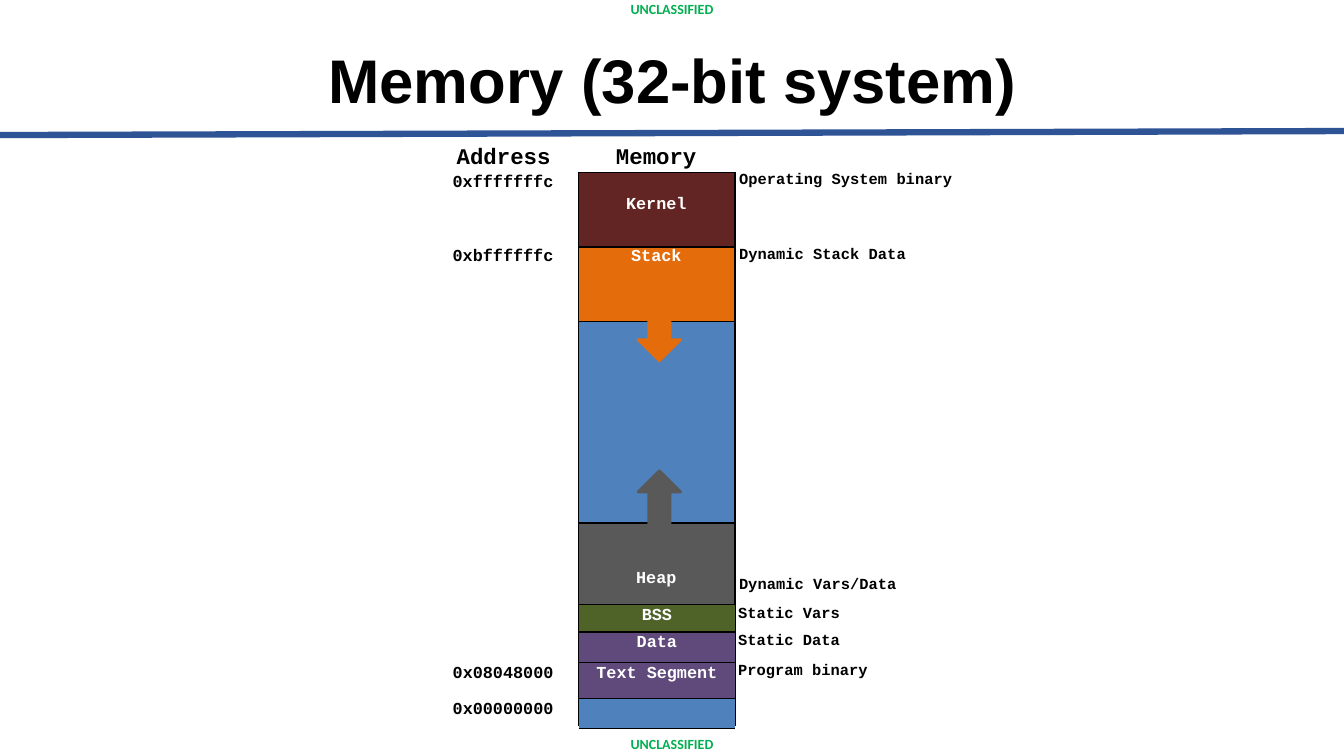
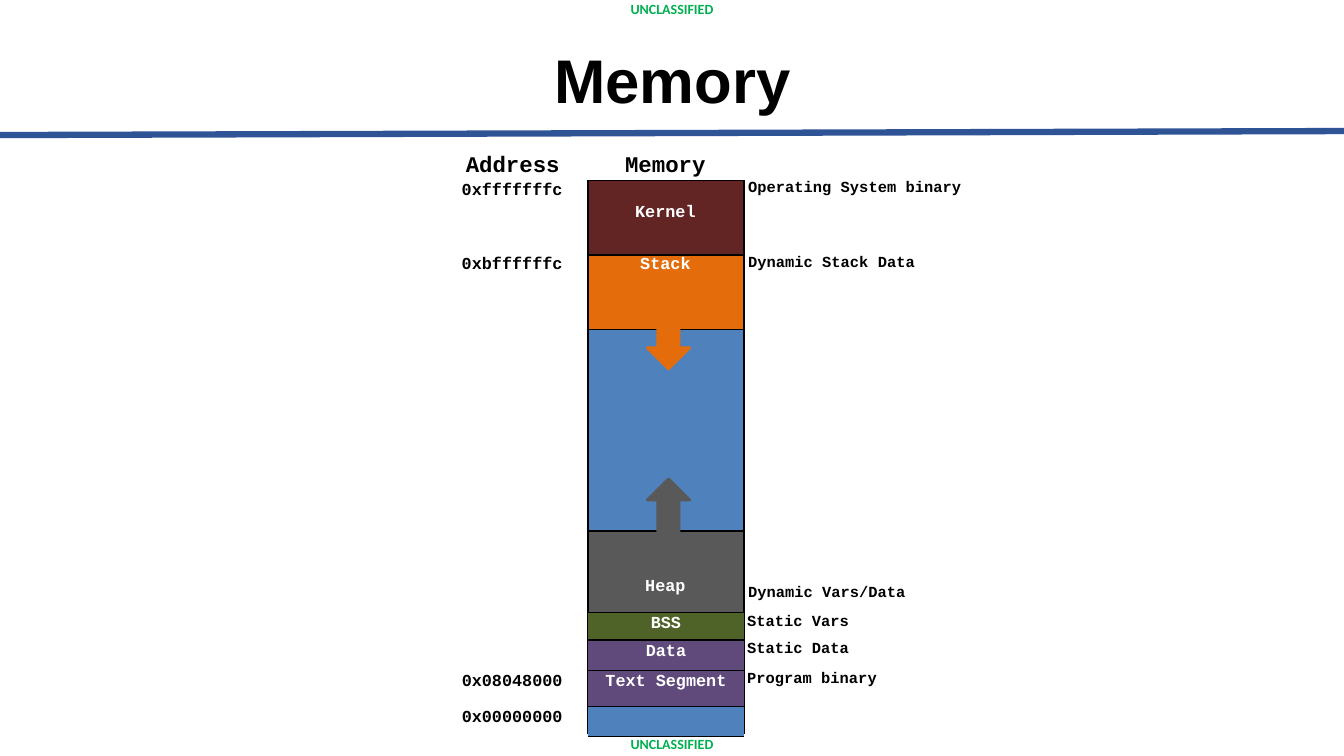
import itertools
from typing import NamedTuple, Optional

import lxml.etree
import pptx
import pptx.dml.color
import pptx.enum.shapes
import pptx.enum.text
import pptx.oxml.ns
import pptx.presentation
import pptx.shapes.autoshape
import pptx.shapes.connector
import pptx.slide
import pptx.table
import pptx.text.text
import pptx.util

Inches = pptx.util.Inches
Pt = pptx.util.Pt
RGBColor = pptx.dml.color.RGBColor
Align = pptx.enum.text.PP_ALIGN
Anchor = pptx.enum.text.MSO_ANCHOR
AutoSize = pptx.enum.text.MSO_AUTO_SIZE
Preset = pptx.enum.shapes.MSO_SHAPE
qn = pptx.oxml.ns.qn

BLACK = RGBColor(0x00, 0x00, 0x00)
WHITE = RGBColor(0xFF, 0xFF, 0xFF)
RULE_BLUE = RGBColor(0x2F, 0x54, 0x96)
MARKING_GREEN = RGBColor(0x00, 0xB0, 0x50)
KERNEL_RED = RGBColor(0x63, 0x25, 0x23)
STACK_ORANGE = RGBColor(0xE4, 0x6C, 0x0A)
FREE_BLUE = RGBColor(0x4F, 0x81, 0xBD)
HEAP_GRAY = RGBColor(0x59, 0x59, 0x59)
BSS_GREEN = RGBColor(0x4F, 0x62, 0x28)
BINARY_PURPLE = RGBColor(0x60, 0x4A, 0x7B)

SLIDE_WIDTH, SLIDE_HEIGHT = 13.33, 7.5
MEMORY_WIDTH = 1.55
MEMORY_HEIGHT = 5.49
ADDRESS_X = -1.26
NOTE_X = 1.58
TABLE_X, TABLE_Y = -1.28, 4.29
COLUMN_WIDTHS = (1.28, MEMORY_WIDTH, 1.35)
NO_TABLE_STYLE = "{2D5ABB26-0587-4C30-8999-92F81FD0307C}"


class Origin(NamedTuple):
    x: float
    y: float


class Region(NamedTuple):
    height: float
    color: RGBColor


class Label(NamedTuple):
    text: str
    y: float
    x: Optional[float] = None
    size: int = 12
    color: RGBColor = BLACK


class Growth(NamedTuple):
    preset: Preset
    y: float
    color: RGBColor


class Section(NamedTuple):
    height: float
    address: str
    name: str
    note: str
    color: RGBColor


REGIONS = (
    Region(0.74, KERNEL_RED),
    Region(0.74, STACK_ORANGE),
    Region(2.0, FREE_BLUE),
    Region(0.81, HEAP_GRAY),
)
LABELS = (
    Label("Memory", -0.31, size=16),
    Label("Kernel", 0.19, color=WHITE),
    Label("Operating System binary", -0.04, NOTE_X, 11),
    Label("0xbffffffc", 0.71, ADDRESS_X),
    Label("Stack", 0.71, color=WHITE),
    Label("Dynamic Stack Data", 0.7, NOTE_X, 11),
    Label("Heap", 3.9, color=WHITE),
    Label("Dynamic Vars/Data", 3.98, NOTE_X, 11),
)
GROWTHS = (
    Growth(Preset.DOWN_ARROW, 1.29, STACK_ORANGE),
    Growth(Preset.UP_ARROW, 2.96, HEAP_GRAY),
)
SECTIONS = (
    Section(0.27, "", "BSS", "Static Vars", BSS_GREEN),
    Section(0.3, "", "Data", "Static Data", BINARY_PURPLE),
    Section(0.36, "0x08048000", "Text Segment", "Program binary", BINARY_PURPLE),
    Section(0.3, "0x00000000", "", "", FREE_BLUE),
)


def write_text(
    frame: pptx.text.text.TextFrame,
    text: str,
    *,
    size: int = 12,
    color: RGBColor = BLACK,
    font: str = "Courier New",
    align: Align = Align.LEFT,
    indent: float = 0,
    spacing: float = 1.0,
    before: float = 0,
) -> None:
    paragraph = frame.add_paragraph() if frame.text else frame.paragraphs[0]
    paragraph.alignment = align
    paragraph.line_spacing = spacing
    paragraph.space_before = Pt(before)
    properties = paragraph._p.get_or_add_pPr()
    properties.set("marL", str(Inches(indent)))
    properties.set("indent", "0")
    run = paragraph.add_run()
    run.text = text
    run.font.name = font
    run.font.size = Pt(size)
    run.font.bold = True
    run.font.color.rgb = color


def add_line(
    slide: pptx.slide.Slide,
    start: Origin,
    end: Origin,
    color: RGBColor = BLACK,
    width: float = 1,
) -> pptx.shapes.connector.Connector:
    line = slide.shapes.add_connector(
        pptx.enum.shapes.MSO_CONNECTOR.STRAIGHT,
        Inches(start.x), Inches(start.y), Inches(end.x), Inches(end.y),
    )
    line.line.color.rgb = color
    line.line.width = Pt(width)
    lxml.etree.SubElement(line.element.spPr, qn("a:effectLst"))
    return line


def add_label_box(
    slide: pptx.slide.Slide, x: float, y: float, width: float, height: float, top: float = 0.01
) -> pptx.text.text.TextFrame:
    box = slide.shapes.add_textbox(Inches(x), Inches(y), Inches(width), Inches(height))
    frame = box.text_frame
    frame.word_wrap = True
    frame.auto_size = AutoSize.SHAPE_TO_FIT_TEXT
    frame.margin_left = frame.margin_right = frame.margin_bottom = 0
    frame.margin_top = Inches(top)
    return frame


def add_marking(slide: pptx.slide.Slide, y: float) -> pptx.shapes.autoshape.Shape:
    marking = slide.shapes.add_textbox(0, Inches(y), Inches(SLIDE_WIDTH), Inches(0.13))
    frame = marking.text_frame
    frame.word_wrap = True
    frame.vertical_anchor = Anchor.MIDDLE
    write_text(frame, "UNCLASSIFIED", size=10, color=MARKING_GREEN, font="Calibri",
               align=Align.CENTER, spacing=0.9)
    return marking


def prepare_layout(layout: pptx.slide.SlideLayout) -> None:
    for placeholder in list(layout.placeholders):
        if placeholder.placeholder_format.idx:
            layout.shapes.element.remove(placeholder.element)
            continue
        placeholder.left, placeholder.top = Inches(0.92), Inches(0.34)
        placeholder.width, placeholder.height = Inches(11.5), Inches(0.97)


def share_decoration(slide: pptx.slide.Slide) -> None:
    title_rule = add_line(slide, Origin(0, 1.34), Origin(SLIDE_WIDTH, 1.3), RULE_BLUE, 4.5)
    for part in (title_rule, add_marking(slide, 0.03), add_marking(slide, 7.33)):
        slide.slide_layout.shapes.element.append(part.element)


def add_titled_slide(
    deck: pptx.presentation.Presentation, layout: pptx.slide.SlideLayout, title: str
) -> pptx.slide.Slide:
    slide = deck.slides.add_slide(layout)
    frame = slide.shapes.title.text_frame
    frame.vertical_anchor = Anchor.MIDDLE
    frame.auto_size = AutoSize.NONE
    write_text(frame, title, size=44, font="Arial", align=Align.CENTER, spacing=0.9)
    return slide


def add_filled_shape(
    slide: pptx.slide.Slide, preset: Preset, x: float, y: float,
    width: float, height: float, color: RGBColor,
) -> pptx.shapes.autoshape.Shape:
    shape = slide.shapes.add_shape(preset, Inches(x), Inches(y), Inches(width), Inches(height))
    shape.shadow.inherit = False
    shape.fill.solid()
    shape.fill.fore_color.rgb = color
    shape.line.fill.background()
    return shape


def add_border(cell: pptx.table._Cell, tag: str, position: int) -> None:
    border = lxml.etree.Element(qn(tag), w=str(Pt(1)))
    fill = lxml.etree.SubElement(border, qn("a:solidFill"))
    lxml.etree.SubElement(fill, qn("a:srgbClr"), val=str(BLACK))
    cell._tc.get_or_add_tcPr().insert(position, border)


def add_section_table(slide: pptx.slide.Slide, origin: Origin) -> None:
    holder = slide.shapes.add_table(
        len(SECTIONS), len(COLUMN_WIDTHS),
        Inches(origin.x + TABLE_X), Inches(origin.y + TABLE_Y),
        Inches(sum(COLUMN_WIDTHS)), Inches(sum(section.height for section in SECTIONS)),
    )
    for style in holder.element.iter(qn("a:tableStyleId")):
        style.text = NO_TABLE_STYLE
    table = holder.table
    table.first_row = table.horz_banding = False
    for column, width in zip(table.columns, COLUMN_WIDTHS):
        column.width = Inches(width)
    for row_index, section in enumerate(SECTIONS):
        row = table.rows[row_index]
        row.height = Inches(section.height)
        for cell, text in zip(row.cells, (section.address, section.name, section.note)):
            cell.margin_left = cell.margin_right = cell.margin_top = cell.margin_bottom = 0
            cell.fill.background()
            if not text:
                continue
            is_name = text == section.name
            write_text(
                cell.text_frame, text,
                size=11 if text == section.note else 12,
                color=WHITE if is_name else BLACK,
                align=Align.CENTER if is_name else Align.LEFT,
                indent=0 if is_name else 0.03,
                spacing=1.04 if text == section.note else 1.11,
            )
        memory = row.cells[1]
        memory.fill.solid()
        memory.fill.fore_color.rgb = section.color
        add_border(memory, "a:lnB", 0)
        if row_index:
            add_border(memory, "a:lnT", 0)
    table.cell(0, 0).merge(table.cell(1, 0))


def draw_memory_map(slide: pptx.slide.Slide, origin: Origin) -> None:
    left, top = origin
    right, bottom = left + MEMORY_WIDTH, top + MEMORY_HEIGHT
    edges = list(itertools.accumulate((region.height for region in REGIONS), initial=top))
    for region, edge in zip(REGIONS, edges):
        add_filled_shape(slide, Preset.RECTANGLE, left, edge, MEMORY_WIDTH,
                         region.height, region.color)

    heading = add_label_box(slide, left + ADDRESS_X, top - 0.33, 1.03, 0.52, top=0.03)
    write_text(heading, "Address", size=16, indent=0.05)
    write_text(heading, "0xfffffffc", indent=0.01, before=1)
    for label in LABELS:
        width = len(label.text) * label.size * 0.6 / 72 + 0.03
        x = (MEMORY_WIDTH - width) / 2 if label.x is None else label.x
        frame = add_label_box(slide, left + x, top + label.y, width, label.size / 60 + 0.02)
        write_text(frame, label.text, size=label.size, color=label.color, indent=0.01)

    for edge in edges:
        add_line(slide, Origin(left, edge), Origin(right, edge))
    for side in (left, right):
        add_line(slide, Origin(side, top), Origin(side, bottom))
    for growth in GROWTHS:
        arrow = add_filled_shape(slide, growth.preset, left + 0.59, top + growth.y,
                                 0.42, 0.58, growth.color)
        arrow.line.color.rgb = growth.color
        arrow.line.width = Pt(2)
    add_section_table(slide, origin)


def main() -> None:
    deck = pptx.Presentation()
    deck.slide_width, deck.slide_height = Inches(SLIDE_WIDTH), Inches(SLIDE_HEIGHT)
    layout = deck.slide_layouts[5]
    prepare_layout(layout)
    system_slide = add_titled_slide(deck, layout, "Memory (32-bit system)")
    share_decoration(system_slide)
    draw_memory_map(system_slide, Origin(5.74, 1.71))
    memory_slide = add_titled_slide(deck, layout, "Memory")
    draw_memory_map(memory_slide, Origin(5.83, 1.79))
    deck.save("out.pptx")


if __name__ == "__main__":
    main()
